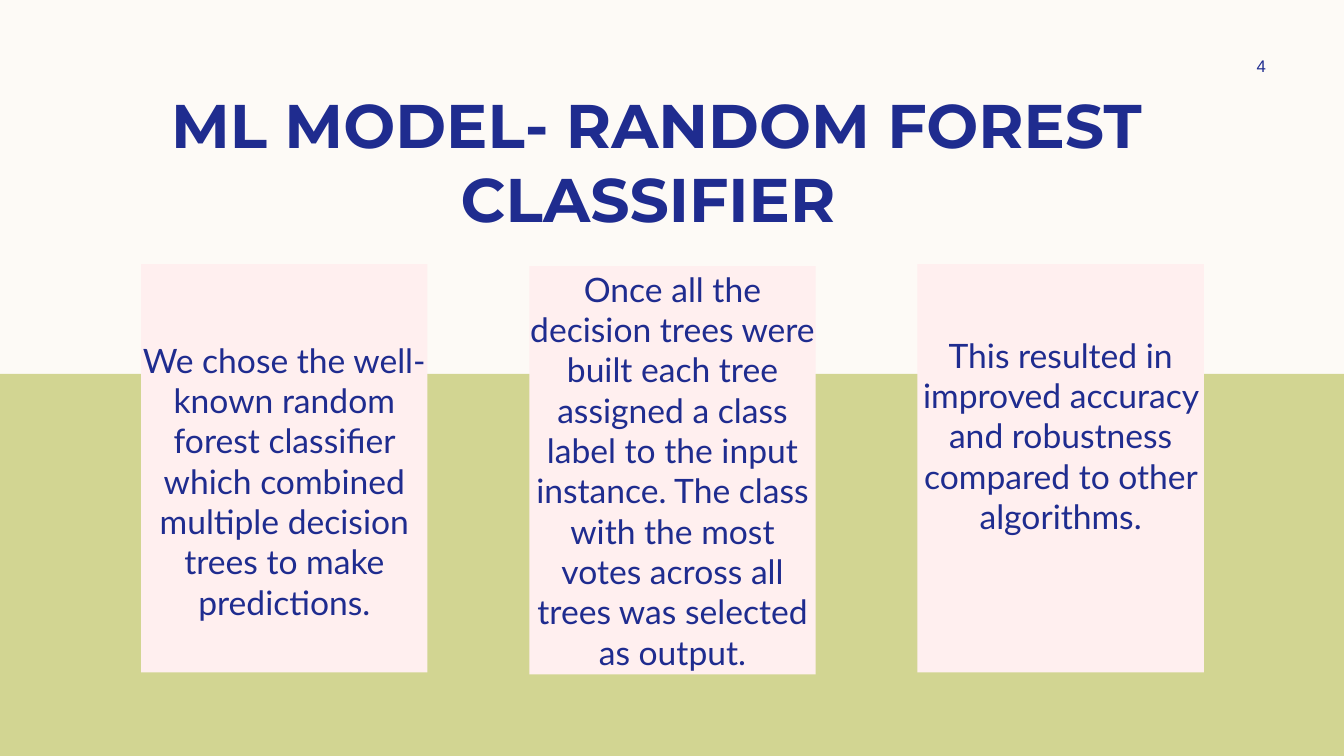
from pptx import Presentation
from pptx.dml.color import RGBColor
from pptx.enum.shapes import MSO_SHAPE
from pptx.enum.text import MSO_ANCHOR, PP_ALIGN
from pptx.util import Inches, Pt

RECTANGLE = MSO_SHAPE.RECTANGLE
CENTER = PP_ALIGN.CENTER
TOP, MIDDLE = MSO_ANCHOR.TOP, MSO_ANCHOR.MIDDLE

CREAM, OLIVE, PINK, NAVY = "FDFAF6", "D2D592", "FFEFEF", "1F2C8F"


def color(value):
    return RGBColor.from_string(value)


def write_text(shape, text, font="Lato", size=24, bold=False, anchor=MIDDLE,
               insets=(0.1, 0.05, 0.1, 0.05), space_before=0):
    """Put one centred paragraph in a shape; insets run left, top, right, bottom."""
    frame = shape.text_frame
    frame.word_wrap = True
    frame.vertical_anchor = anchor
    (frame.margin_left, frame.margin_top,
     frame.margin_right, frame.margin_bottom) = map(Inches, insets)
    paragraph = frame.paragraphs[0]
    paragraph.alignment = CENTER
    paragraph.space_before = Pt(space_before)
    run = paragraph.add_run()
    run.text = text
    run.font.name = font
    run.font.size = Pt(size)
    run.font.bold = bold
    run.font.color.rgb = color(NAVY)


class SlideBuilder:
    def __init__(self, slide):
        self.slide = slide

    def background(self, fill):
        self.slide.background.fill.solid()
        self.slide.background.fill.fore_color.rgb = color(fill)

    def rectangle(self, left, top, width, height, fill):
        shape = self.slide.shapes.add_shape(
            RECTANGLE, *map(Inches, (left, top, width, height)))
        shape.shadow.inherit = False
        shape.fill.solid()
        shape.fill.fore_color.rgb = color(fill)
        shape.line.fill.background()
        return shape

    def text_box(self, left, top, width, height, text, **text_format):
        box = self.slide.shapes.add_textbox(
            *map(Inches, (left, top, width, height)))
        write_text(box, text, **text_format)

    def card(self, left, top, width, height, text, **text_format):
        shape = self.rectangle(left, top, width, height, PINK)
        write_text(shape, text, **text_format)


def main():
    presentation = Presentation()
    presentation.slide_width = Inches(13.33)
    presentation.slide_height = Inches(7.5)
    builder = SlideBuilder(
        presentation.slides.add_slide(presentation.slide_layouts[6]))

    # Background and lower band
    builder.background(CREAM)
    builder.rectangle(-0.03, 3.71, 13.36, 3.79, OLIVE)

    # Title and slide number
    builder.text_box(0.68, 0.81, 11.67, 0.84, "ML MODEL- RANDOM FOREST CLASSIFIER ",
                     font="Montserrat", size=44, bold=True, anchor=TOP)
    builder.text_box(11.97, 0.5, 1.08, 0.3, "4", font="Arial", size=12)

    # Three evenly spaced cards
    cards = [
        (2.62, "We chose the well-known random forest classifier which combined "
               "multiple decision trees to make predictions.",
         {"insets": (0, 0.3, 0, 0.05), "space_before": 3.6}),
        (2.64, "Once all the decision trees were built each tree assigned a class "
               "label to the input instance. The class with the most votes across "
               "all trees was selected as output.",
         {"insets": (0, 0, 0, 0)}),
        (2.62, "This resulted in improved accuracy and robustness compared to "
               "other algorithms.",
         {"insets": (0, 0.7, 0, 0.05), "anchor": TOP}),
    ]
    for index, (top, text, text_format) in enumerate(cards):
        builder.card(1.4 + 3.85 * index, top, 2.84, 4.05, text, **text_format)

    presentation.save("out.pptx")


if __name__ == "__main__":
    main()
